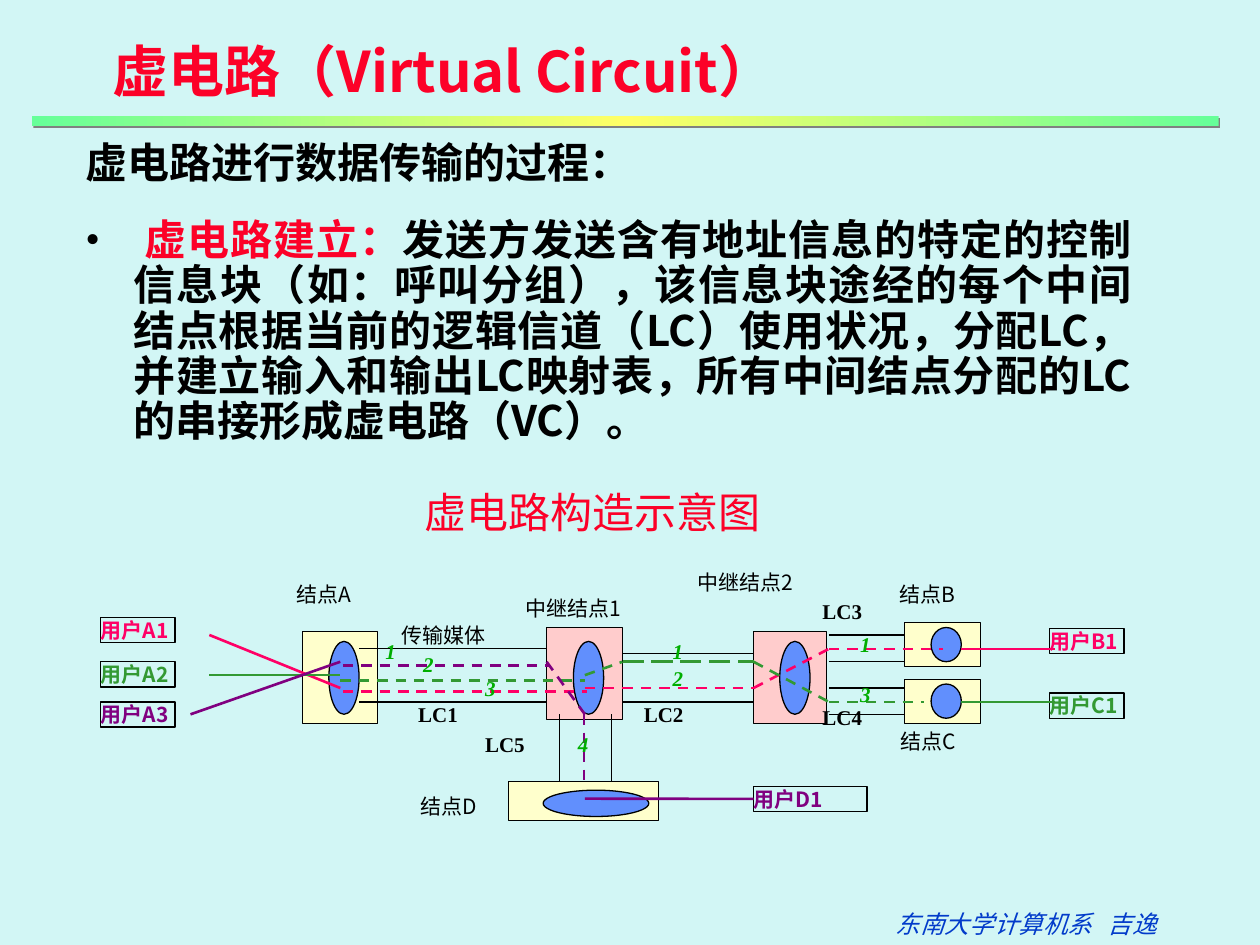
from lxml import etree
from pptx import Presentation
from pptx.dml.color import RGBColor
from pptx.enum.dml import MSO_LINE
from pptx.enum.shapes import MSO_CONNECTOR, MSO_SHAPE
from pptx.enum.text import MSO_ANCHOR, MSO_AUTO_SIZE, PP_ALIGN
from pptx.oxml.ns import qn
from pptx.util import Cm, Pt

RECT, OVAL = MSO_SHAPE.RECTANGLE, MSO_SHAPE.OVAL
STRAIGHT = MSO_CONNECTOR.STRAIGHT
DASH, LONG_DASH = MSO_LINE.DASH, MSO_LINE.LONG_DASH
TOP, LEFT, JUSTIFY = MSO_ANCHOR.TOP, PP_ALIGN.LEFT, PP_ALIGN.JUSTIFY
GROW, FIXED = MSO_AUTO_SIZE.SHAPE_TO_FIT_TEXT, MSO_AUTO_SIZE.NONE
SANS, SERIF = "Noto Sans CJK SC", "Times New Roman"
COLORS = {
    "background": "D2F6F5", "black": "000000", "red": "FC0128", "footer": "023BCA",
    "pink": "FF0066", "green": "339933", "purple": "800080", "number": "00AE00",
    "end node": "FFFFCC", "relay": "FFCCCC", "switch": "618FFD",
    "bar edge": "66FF99", "bar middle": "FFFF66", "shadow": "808080",
}


def rgb(name):
    return RGBColor.from_string(COLORS[name])


def add_xml(parent, tag, **attrs):
    return etree.SubElement(parent, qn(tag), {k: str(v) for k, v in attrs.items()})


class Deck:
    """Slide style plus the slide being drawn; all lengths are in centimetres."""

    def __init__(self, prs):
        self.s = prs.slides.add_slide(prs.slide_layouts[5])
        self.s.background.fill.solid()
        self.s.background.fill.fore_color.rgb = rgb("background")

    def frame(self, sp, inset=True, wrap=False, auto_size=GROW):
        tf = sp.text_frame
        tf.word_wrap, tf.auto_size, tf.vertical_anchor = wrap, auto_size, TOP
        tf.margin_left = tf.margin_right = Cm(0.25 if inset else 0)
        tf.margin_top = tf.margin_bottom = Cm(0.13 if inset else 0)
        tf.paragraphs[0].alignment = LEFT
        return tf

    def run(self, p, text, size=12, color="black", font=SANS, bold=False, italic=False):
        r = p.add_run()
        r.text = text
        r.font.size, r.font.name = Pt(size), font
        r.font.bold, r.font.italic = bold, italic
        r.font.color.rgb = rgb(color)
        add_xml(r.font._element, "a:ea", typeface=SANS)

    def title(self, x, y, w, h, text):
        sp = self.s.shapes.title
        sp.left, sp.top, sp.width, sp.height = Cm(x), Cm(y), Cm(w), Cm(h)
        self.run(self.frame(sp).paragraphs[0], text, 32, "red", bold=True)

    def text(self, x, y, w, h, text, inset=True, wrap=False, **style):
        sp = self.s.shapes.add_textbox(Cm(x), Cm(y), Cm(w), Cm(h))
        p = self.frame(sp, inset, wrap).paragraphs[0]
        self.run(p, text, **style)
        return p

    def body(self, x, y, w, h, heading, item):
        """Heading paragraph, then one bulleted paragraph of (text, colour) runs."""
        sp = self.s.shapes.add_textbox(Cm(x), Cm(y), Cm(w), Cm(h))
        tf = self.frame(sp, wrap=True, auto_size=FIXED)
        first, second = tf.paragraphs[0], tf.add_paragraph()
        for p in (first, second):
            p.alignment, p.line_spacing, p.space_after = JUSTIFY, 0.9, Pt(12)
            pPr = p._p.get_or_add_pPr()
            pPr.set("marL", str(Cm(0.97)))
            pPr.set("indent", str(-Cm(0.97)))
        second.space_before = Pt(6)
        add_xml(add_xml(pPr, "a:buClr"), "a:srgbClr", val=COLORS["black"])
        add_xml(pPr, "a:buFont", typeface=SERIF)
        add_xml(pPr, "a:buChar", char="•")
        self.run(first, heading, 24, bold=True)
        for text, color in item:
            self.run(second, text, 24, color, bold=True)

    def shape(self, kind, x, y, w, h, fill=None, line_width=0.75):
        sp = self.s.shapes.add_shape(kind, Cm(x), Cm(y), Cm(w), Cm(h))
        sp.shadow.inherit = False
        if fill:
            sp.fill.solid()
            sp.fill.fore_color.rgb = rgb(fill)
        else:
            sp.fill.background()
        sp.line.color.rgb, sp.line.width = rgb("black"), Pt(line_width)
        return sp

    def node(self, fill, box, oval):
        sp = self.shape(RECT, *box, fill, 0.5)
        self.shape(OVAL, *oval, "switch")
        return sp

    def user(self, x, y, text, color, w=1.5, wrap=False):
        sp = self.shape(RECT, x, y, w, 0.51)
        p = self.frame(sp, inset=False, wrap=wrap).paragraphs[0]
        self.run(p, text, color=color, bold=True)
        return sp

    def line(self, x1, y1, x2, y2, color="black", dash=None, end=None):
        """end is an optional (shape, side) to join."""
        c = self.s.shapes.add_connector(STRAIGHT, Cm(x1), Cm(y1), Cm(x2), Cm(y2))
        c.line.color.rgb = rgb(color)
        c.line.width = Pt(0.75 if color == "black" else 1.5)
        if dash:
            c.line.dash_style = dash
        add_xml(c._element.spPr, "a:effectLst")
        if end:
            c.end_connect(*end)

    def bar(self, x, y, w, h):
        """Rule with a three-stop gradient and a small hard shadow."""
        sp = self.s.shapes.add_shape(RECT, Cm(x), Cm(y), Cm(w), Cm(h))
        sp.fill.gradient()
        sp.fill.gradient_angle = 0
        sp.line.fill.background()
        stops = sp._element.spPr.find(qn("a:gradFill")).find(qn("a:gsLst"))
        for stop in list(stops):
            stops.remove(stop)
        for pos, name in ((0, "bar edge"), (50000, "bar middle"), (100000, "bar edge")):
            add_xml(add_xml(stops, "a:gs", pos=pos), "a:srgbClr", val=COLORS[name])
        effects = add_xml(sp._element.spPr, "a:effectLst")
        shadow = add_xml(effects, "a:outerShdw", dist=Pt(1.4), dir=45 * 60000)
        add_xml(shadow, "a:srgbClr", val=COLORS["shadow"])


def draw_network(d):
    for fill, x, y, w, oval_x in (("end node", 6.1, 12.73, 1.52, 6.63),
                                  ("relay", 11.02, 12.65, 1.52, 11.56),
                                  ("relay", 15.19, 12.73, 1.47, 15.72)):
        d.node(fill, (x, y, w, 1.85), (oval_x, 12.93, 0.61, 1.47))
    for y in (12.55, 13.69):
        d.node("end node", (18.24, y, 1.52, 0.89), (18.77, y + 0.1, 0.61, 0.69))
    node_d = d.node("end node", (10.26, 15.75, 3.02, 0.79), (10.95, 15.93, 2.13, 0.53))

    for x, y, text, color in (
            (2.03, 12.45, "用户A1", "pink"), (2.03, 13.34, "用户A2", "green"),
            (2.03, 14.15, "用户A3", "purple"), (21.16, 12.67, "用户B1", "pink"),
            (21.16, 13.97, "用户C1", "green")):
        d.user(x, y, text, color)
    user_d1 = d.user(15.19, 15.85, "用户D1", "purple", w=2.29, wrap=True)

    for x, y, w, text in (
            (5.97, 11.73, 1.27, "结点A"), (10.59, 12.01, 2.08, "中继结点1"),
            (8.1, 12.55, 1.75, "传输媒体"), (14.07, 11.48, 2.84, "中继结点2"),
            (18.14, 11.73, 1.27, "结点B"), (8.48, 16, 1.29, "结点D"),
            (18.16, 14.68, 1.27, "结点C")):
        d.text(x, y, w, 0.51, text, inset=False)

    for x1, x2, rails in ((7.24, 11.02, (13.08, 14.15)),
                          (12.55, 15.19, (13.18, 14.15)),
                          (16.71, 18.24, (12.8, 13.34, 13.87, 14.4))):
        for y in rails:
            d.line(x1, y, x2, y)
    for x in (11.28, 12.32):
        d.line(x, 14.4, x, 15.75)

    circuits = {
        "pink": ((4.22, 12.8, 6.86, 13.87), (6.91, 13.94, 11.84, 13.94, DASH),
                 (11.79, 13.87, 12.55, 13.87, DASH), (12.55, 13.87, 15.19, 13.87, DASH),
                 (15.19, 13.87, 16.71, 13.08, DASH), (16.71, 13.08, 19, 13.08, DASH),
                 (19.38, 13.08, 21.26, 13.08)),
        "green": ((4.22, 13.61, 6.86, 13.61), (6.86, 13.72, 11.79, 13.72, DASH),
                  (11.79, 13.61, 12.55, 13.34, DASH),
                  (12.55, 13.34, 15.19, 13.34, LONG_DASH),
                  (15.19, 13.34, 16.71, 14.15, DASH), (16.71, 14.15, 18.62, 14.15, DASH),
                  (19.38, 14.15, 21.26, 14.15)),
        "purple": ((3.84, 14.4, 6.86, 13.34), (6.91, 13.41, 11.07, 13.41, DASH),
                   (11.02, 13.34, 11.79, 14.4, DASH),
                   (11.77, 14.4, 11.77, 15.75, DASH, (node_d, 0)),
                   (11.79, 16.1, 15.19, 16.1, None, (user_d1, 1))),
    }
    for color, segments in circuits.items():
        for x1, y1, x2, y2, *options in segments:
            d.line(x1, y1, x2, y2, color, *options)

    for x, y, text in ((7.52, 12.75, "1"), (8.28, 13, "2"), (9.53, 13.49, "3"),
                       (13.31, 12.75, "1"), (13.31, 13.28, "2"), (17.09, 12.6, "1"),
                       (17.09, 13.61, "3"), (11.4, 14.61, "4")):
        d.text(x, y, 0.75, 0.76, text, color="number", font=SERIF, bold=True, italic=True)
    for x, y, text in ((8.18, 14.02, "LC1"), (12.73, 14.02, "LC2"), (16.33, 14.07, "LC4"),
                       (16.33, 11.94, "LC3"), (9.53, 14.61, "LC5")):
        d.text(x, y, 1.33, 0.76, text, font=SERIF, bold=True)


def main():
    prs = Presentation()
    prs.slide_width, prs.slide_height = Cm(25.4), Cm(19.05)
    d = Deck(prs)
    d.title(2.01, 0.61, 14.43, 1.63, "虚电路（Virtual Circuit）")
    d.bar(0.64, 2.34, 23.93, 0.2)
    d.body(1.47, 2.74, 21.59, 6.78, "虚电路进行数据传输的过程：", (
        (" ", "black"),
        ("虚电路建立：", "red"),
        ("发送方发送含有地址信息的特定的控制信息块（如：呼叫分组），该信息块途经的每个中间结点"
         "根据当前的逻辑信道（LC）使用状况，分配LC，并建立输入和输出LC映射表，"
         "所有中间结点分配的LC的串接形成虚电路（VC）。", "black")))
    d.text(8.31, 9.68, 7.35, 1.27, "虚电路构造示意图", size=24, color="red", font=SERIF)
    draw_network(d)
    p = d.text(17.81, 18.19, 5.79, 0.86, "东南大学计算机系\t吉逸",
               size=14, color="footer", font=SERIF, italic=True)
    tabs = add_xml(p._p.get_or_add_pPr(), "a:tabLst")
    add_xml(tabs, "a:tab", pos=Cm(4.27), algn="l")
    prs.save("out.pptx")


if __name__ == "__main__":
    main()
